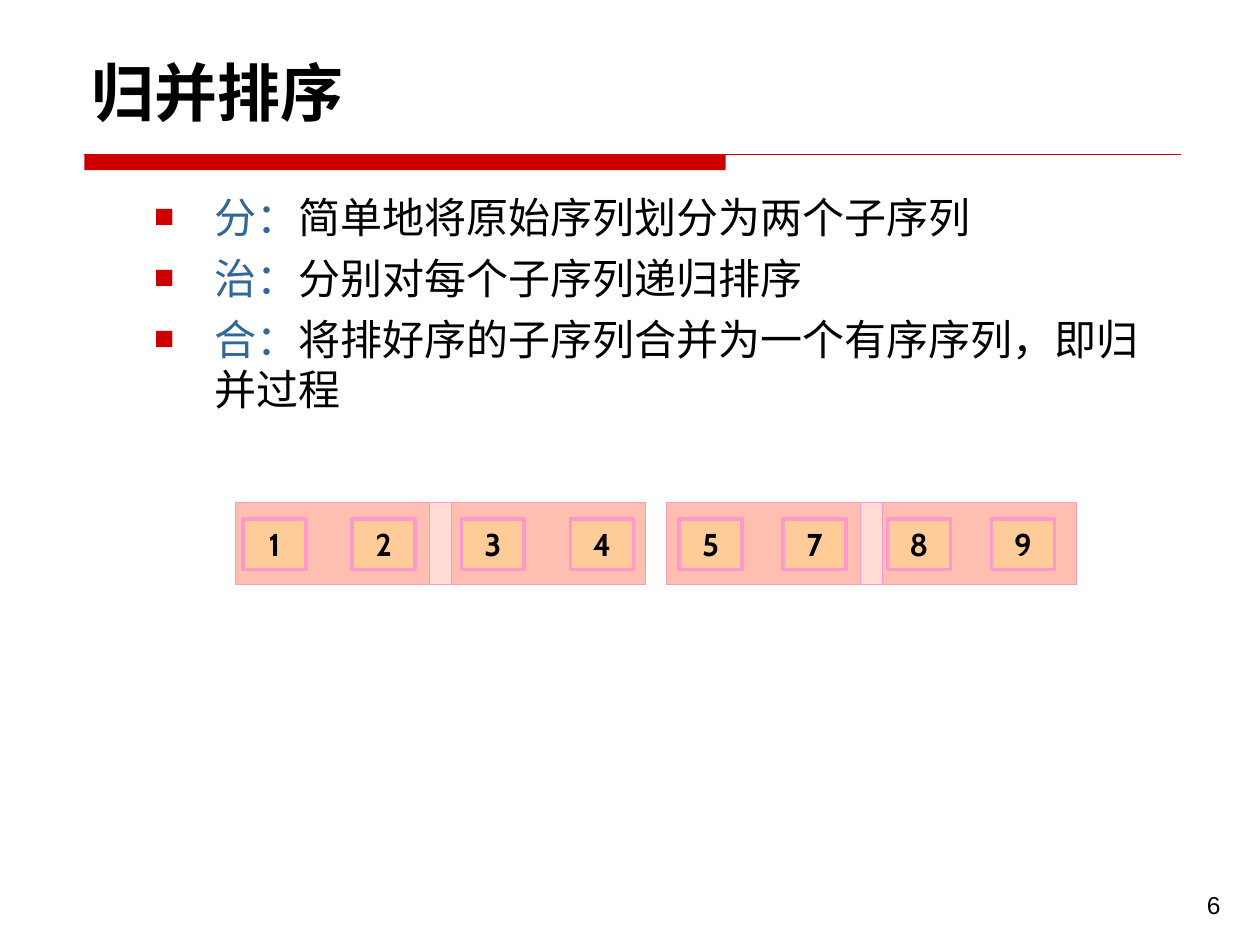
from lxml.etree import SubElement
from pptx import Presentation
from pptx.dml.color import RGBColor
from pptx.enum.shapes import MSO_CONNECTOR, MSO_SHAPE
from pptx.enum.text import MSO_ANCHOR, PP_ALIGN
from pptx.oxml.ns import qn
from pptx.util import Cm, Pt

RED = "CC0000"
PINK = "FF99CC"
STEPS = [
    ("分：", "简单地将原始序列划分为两个子序列"),
    ("治：", "分别对每个子序列递归排序"),
    ("合：", "将排好序的子序列合并为一个有序序列，即归并过程"),
]
SEQUENCES = [
    (4.75, 4.9, 2.2, "1234"),
    (13.44, 13.69, 2.1, "5789"),
]


def color(value):
    """Turn a hex string into a colour."""
    return RGBColor.from_string(value)


def style_span(span, font, size, fill, bold=False):
    """Format one run of text."""
    span.font.name = font
    span.font.size = Pt(size)
    span.font.bold = bold
    span.font.color.rgb = color(fill)


def add_text(page, left, top, width, height, anchor=MSO_ANCHOR.TOP):
    """Add a wrapping text box and return its frame."""
    box = page.shapes.add_textbox(Cm(left), Cm(top), Cm(width), Cm(height))
    box.text_frame.word_wrap = True
    box.text_frame.vertical_anchor = anchor
    return box.text_frame


def add_label(page, text, bounds, font, size, bold=False, anchor=MSO_ANCHOR.TOP):
    """Add a single line of text."""
    frame = add_text(page, *bounds, anchor)
    frame.text = text
    style_span(frame.paragraphs[0].runs[0], font, size, "000000", bold)


def add_box(page, left, top, width, height, fill, line=None, line_width=0.75, opacity=100):
    """Add a flat rectangle with an optional outline and opacity."""
    box = page.shapes.add_shape(MSO_SHAPE.RECTANGLE, Cm(left), Cm(top), Cm(width), Cm(height))
    box.shadow.inherit = False
    box.fill.solid()
    box.fill.fore_color.rgb = color(fill)
    if opacity < 100:
        tint = box.fill._xPr.find(qn("a:solidFill"))[0]
        SubElement(tint, qn("a:alpha"), val=str(opacity * 1000))
    if line:
        box.line.color.rgb = color(line)
        box.line.width = Pt(line_width)
    else:
        box.line.fill.background()
    return box


def add_title_rule(page):
    """Draw the thick and thin rule under the title."""
    add_box(page, 1.7, 3.12, 12.93, 0.31, RED)
    rule = page.shapes.add_connector(MSO_CONNECTOR.STRAIGHT, Cm(1.7), Cm(3.12), Cm(23.8), Cm(3.12))
    rule.line.color.rgb = color(RED)
    rule.line.width = Pt(0.75)
    SubElement(rule._element.spPr, qn("a:effectLst"))


def add_bullet(paragraph):
    """Give a paragraph a hanging red square bullet."""
    properties = paragraph._p.get_or_add_pPr()
    properties.set("marL", str(Cm(2.51)))
    properties.set("indent", str(-Cm(1.22)))
    tint = SubElement(properties, qn("a:buClr"))
    SubElement(tint, qn("a:srgbClr"), val=RED)
    SubElement(properties, qn("a:buSzPct"), val="80000")
    SubElement(properties, qn("a:buFont"), typeface="Arial")
    SubElement(properties, qn("a:buChar"), char="■")


def add_steps(page):
    """List the steps, each with a blue lead word."""
    frame = add_text(page, 1.57, 3.73, 22.23, 13.79)
    for index, parts in enumerate(STEPS):
        paragraph = frame.paragraphs[0] if index == 0 else frame.add_paragraph()
        paragraph.space_before = Pt(6)
        add_bullet(paragraph)
        for text, fill in zip(parts, ("336699", "000000")):
            span = paragraph.add_run()
            span.text = text
            style_span(span, "Times New Roman", 24, fill)


def add_cell(page, left, digit):
    """Add one number of a sequence."""
    box = add_box(page, left, 10.46, 1.27, 1.02, "FFCC99", PINK, 2)
    frame = box.text_frame
    frame.text = digit
    frame.vertical_anchor = MSO_ANCHOR.MIDDLE
    frame.paragraphs[0].alignment = PP_ALIGN.CENTER
    style_span(frame.paragraphs[0].runs[0], "Cabin", 18, "000000", True)


def add_sequence(page, left, first_cell, pitch, digits):
    """Add a sorted sequence with its two halves and its numbers."""
    for offset, width in ((0, 8.26), (0, 3.91), (4.35, 3.91)):
        add_box(page, left + offset, 10.13, width, 1.65, "FF3300", PINK, opacity=17)
    for index, digit in enumerate(digits):
        add_cell(page, first_cell + index * pitch, digit)


def main():
    """Build and save the slide."""
    deck = Presentation()
    deck.slide_width, deck.slide_height = Cm(25.4), Cm(19.05)
    page = deck.slides.add_slide(deck.slide_layouts[6])
    add_title_rule(page)
    add_label(page, "归并排序", (1.6, 0.84, 22.23, 1.88), "Vollkorn", 36, True, MSO_ANCHOR.BOTTOM)
    add_steps(page)
    for sequence in SEQUENCES:
        add_sequence(page, *sequence)
    add_label(page, "6", (24.08, 17.81, 1.32, 0.89), "Arial", 14)
    deck.save("out.pptx")


if __name__ == "__main__":
    main()
